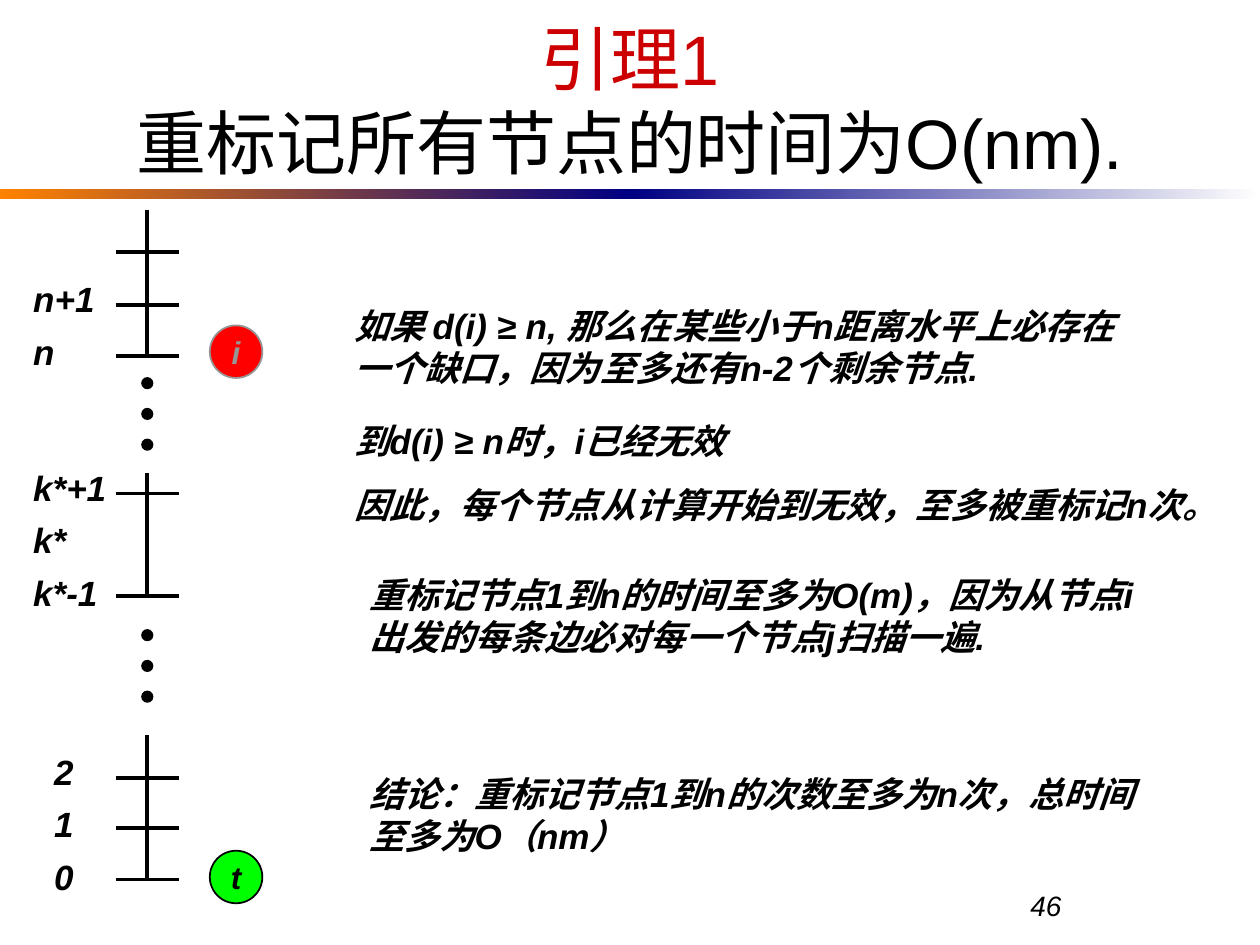
import pptx
import pptx.util
import pptx.dml.color
import pptx.enum.shapes
import pptx.enum.text
import lxml.etree

Cm, Pt = pptx.util.Cm, pptx.util.Pt
RGB = pptx.dml.color.RGBColor
SHAPE = pptx.enum.shapes.MSO_SHAPE
ANCHOR = pptx.enum.text.MSO_ANCHOR
ALIGN = pptx.enum.text.PP_ALIGN

BLACK = RGB(0, 0, 0)
WHITE = RGB(255, 255, 255)
ORANGE = RGB(0xFF, 0x82, 0x00)
NAVY = RGB(0x00, 0x00, 0x82)
CRIMSON = RGB(0xCC, 0x00, 0x00)
RED = RGB(0xFF, 0x00, 0x00)
GREEN = RGB(0x00, 0xFF, 0x00)
GRAY = RGB(0x96, 0x96, 0x96)

TITLE = "引理1\v重标记所有节点的时间为O(nm)."
PAGE = "46"
BARS = [(ORANGE, NAVY), (NAVY, WHITE)]

AXIS_X, TICK_HALF = 2.97, 0.64
SEGMENTS = [
    (4.24, [5.08, 6.14, 7.17]),
    (9.53, [9.95, 12.01]),
    (14.82, [15.68, 16.7, 17.73]),
]
DOT_TOPS, DOT_STEP, DOT_SIZE = [7.62, 12.7], 0.62, 0.21
LABEL_STEP = 1.06
LABELS = [
    (0.42, 5.47, ["n+1", "n"]),
    (0.42, 9.27, ["k*+1", "k*", "k*-1"]),
    (0.84, 15, ["2", "1", "0"]),
]
NODES = [("i", 6.56, RED, GRAY), ("t", 17.15, GREEN, BLACK)]
NOTES = [
    (6.9, 6.02, 16.3, 1.96,
     ["如果 d(i) ≥ n, 那么在某些小于n距离水平上必存在一个缺口，因为至多还有n-2个剩余节点."]),
    (6.9, 8.33, 18, 3.25,
     ["到d(i) ≥ n时，i已经无效",
      "因此，每个节点从计算开始到无效，至多被重标记n次。"]),
    (7.2, 11.43, 16.3, 1.96,
     ["重标记节点1到n的时间至多为O(m)，因为从节点i出发的每条边必对每一个节点j扫描一遍."]),
    (7.2, 15.45, 16.3, 1.96,
     ["结论：重标记节点1到n的次数至多为n次，总时间至多为O（nm）"]),
]


def style(p, size, color=BLACK, bold=True, italic=True):
    for r in p.runs:
        r.font.name = "Arial"
        r.font.size = Pt(size)
        r.font.bold = bold
        r.font.italic = italic
        r.font.color.rgb = color


def add_text(s, x, y, w, h, lines, size=20, bold=True, italic=True):
    tf = s.shapes.add_textbox(Cm(x), Cm(y), Cm(w), Cm(h)).text_frame
    tf.word_wrap = True
    for i, line in enumerate(lines):
        p = tf.add_paragraph() if i else tf.paragraphs[0]
        p.text = line
        if i:
            p.space_before = Pt(12.5)
        style(p, size, bold=bold, italic=italic)
    return tf


def add_line(s, x1, y1, x2, y2):
    c = s.shapes.add_connector(pptx.enum.shapes.MSO_CONNECTOR.STRAIGHT,
                               Cm(x1), Cm(y1), Cm(x2), Cm(y2))
    c.line.color.rgb = BLACK
    c.line.width = Pt(2.25)
    spPr = c._element.spPr
    lxml.etree.SubElement(spPr, pptx.oxml.ns.qn("a:effectLst"))


def add_circle(s, x, y, size, fill, line):
    sp = s.shapes.add_shape(SHAPE.OVAL, Cm(x), Cm(y), Cm(size), Cm(size))
    sp.shadow.inherit = False
    sp.fill.solid()
    sp.fill.fore_color.rgb = fill
    sp.line.color.rgb = line
    sp.line.width = Pt(1)
    return sp


def add_bar(s, x, colors):
    sp = s.shapes.add_shape(SHAPE.RECTANGLE, Cm(x), Cm(3.81), Cm(12.7), Cm(0.2))
    sp.shadow.inherit = False
    sp.line.fill.background()
    sp.fill.gradient()
    sp.fill.gradient_angle = 0
    for stop, color in zip(sp.fill.gradient_stops, colors):
        stop.color.rgb = color


def main():
    prs = pptx.Presentation()
    prs.slide_width, prs.slide_height = Cm(25.4), Cm(19.05)
    s = prs.slides.add_slide(prs.slide_layouts[6])

    for i, colors in enumerate(BARS):
        add_bar(s, i * 12.7, colors)
    add_text(s, 20.52, 17.78, 4.88, 1.27, [PAGE], size=16, bold=False)

    tf = add_text(s, 1.27, 0.64, 22.86, 2.74, [TITLE], size=40, bold=False, italic=False)
    tf.vertical_anchor = ANCHOR.MIDDLE
    p = tf.paragraphs[0]
    p.alignment = ALIGN.CENTER
    p.runs[0].font.color.rgb = CRIMSON

    for top, ticks in SEGMENTS:
        add_line(s, AXIS_X, top, AXIS_X, ticks[-1])
        for y in ticks:
            add_line(s, AXIS_X - TICK_HALF, y, AXIS_X + TICK_HALF, y)

    for top in DOT_TOPS:
        for i in range(3):
            add_circle(s, AXIS_X - DOT_SIZE / 2, top + i * DOT_STEP, DOT_SIZE, BLACK, BLACK)

    for x, top, names in LABELS:
        for i, name in enumerate(names):
            add_text(s, x, top + i * LABEL_STEP, 2.33, 1.11, [name])

    for name, y, fill, ink in NODES:
        tf = add_circle(s, 4.23, y, 1.06, fill, ink).text_frame
        tf.word_wrap = False
        tf.vertical_anchor = ANCHOR.MIDDLE
        tf.text = name
        tf.paragraphs[0].alignment = ALIGN.CENTER
        style(tf.paragraphs[0], 18, ink)

    for note in NOTES:
        add_text(s, *note)

    prs.save("out.pptx")


if __name__ == "__main__":
    main()
